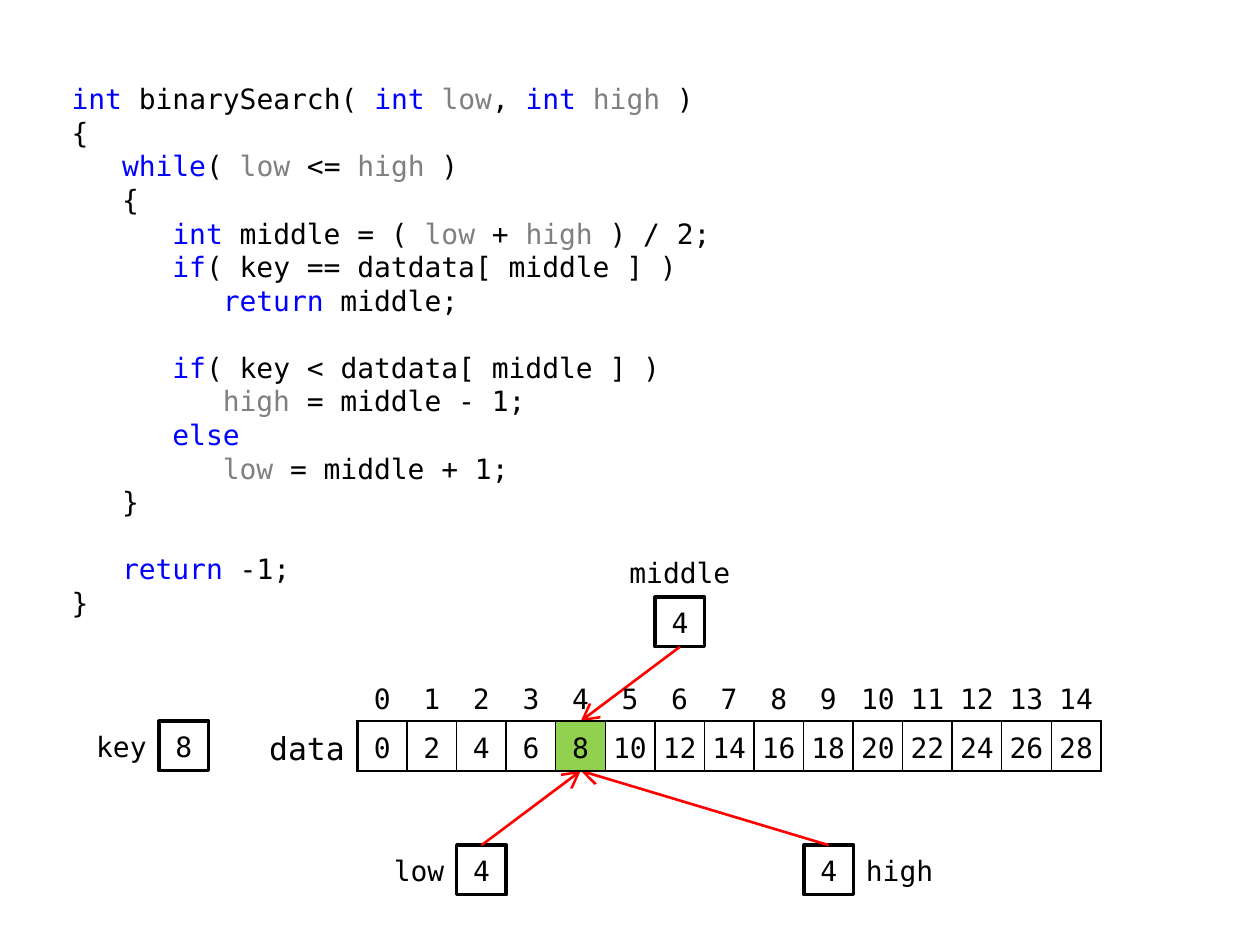
from dataclasses import dataclass
from itertools import groupby

from lxml.etree import SubElement
from pptx import Presentation
from pptx.dml.color import RGBColor
from pptx.enum.shapes import MSO_CONNECTOR, MSO_SHAPE
from pptx.enum.text import MSO_ANCHOR as Anchor, PP_ALIGN as Align
from pptx.oxml.ns import qn
from pptx.util import Inches, Pt

FONT = "DejaVu Sans Mono"
BLACK, BLUE, GRAY = "000000", "0000FF", "808080"
WHITE, RED, GREEN = "FFFFFF", "FF0000", "92D050"
NO_STYLE = "{2D5ABB26-0587-4C30-8999-92F81FD0307C}"

# Everything around the array sits on a grid of one-centimetre cells
CELL = 1 / 2.54
GRID_LEFT, GRID_TOP = 2.05, 5.33
VALUES = range(0, 30, 2)
FOUND = 4

# Code text: indent level in steps of three characters, then the statement
INDENT = 0.4
LINE_HEIGHT = 19.2
WORD_COLORS = dict.fromkeys(("int", "while", "if", "else", "return"), BLUE)
WORD_COLORS |= dict.fromkeys(("low", "high"), GRAY)


@dataclass
class CodeLine:
    level: int
    text: str
    gap_before: bool = False


@dataclass
class Variable:
    """A boxed value and its label, placed in grid cells."""
    name: str
    value: int
    column: float
    row: float
    label_dx: float
    label_dy: float
    label_width: float
    align: Align


CODE = [
    CodeLine(0, "int binarySearch( int low, int high )"),
    CodeLine(0, "{"),
    CodeLine(1, "while( low <= high )"),
    CodeLine(1, "{"),
    CodeLine(2, "int middle = ( low + high ) / 2;"),
    CodeLine(2, "if( key == datdata[ middle ] )"),
    CodeLine(3, "return middle;"),
    CodeLine(2, "if( key < datdata[ middle ] )", gap_before=True),
    CodeLine(3, "high = middle - 1;"),
    CodeLine(2, "else"),
    CodeLine(3, "low = middle + 1;"),
    CodeLine(1, "}"),
    CodeLine(1, "return -1;", gap_before=True),
    CodeLine(0, "}"),
]
MIDDLE = Variable("middle", 4, 8, -1.5, -1, -1, 3, Align.CENTER)
LOW = Variable("low", 4, 4, 3.5, -1.5, 0, 1.5, Align.RIGHT)
HIGH = Variable("high", 4, 11, 3.5, 1, 0, 2, Align.LEFT)
KEY = Variable("key", 8, -2, 1, -1.5, 0, 1.5, Align.RIGHT)


def color(value: str) -> RGBColor:
    return RGBColor.from_string(value)


def grid_x(column: float) -> int:
    return Inches(GRID_LEFT + column * CELL)


def grid_y(row: float) -> int:
    return Inches(GRID_TOP + row * CELL)


def add_run(paragraph, text: str, size: float = 16, text_color: str = BLACK) -> None:
    run = paragraph.add_run()
    run.text = text
    run.font.name = FONT
    run.font.size = Pt(size)
    run.font.color.rgb = color(text_color)


def add_code(slide) -> None:
    shape = slide.shapes.add_textbox(Inches(0.47), Inches(0.6), Inches(5.32), Inches(4.33))
    frame = shape.text_frame
    frame.word_wrap = True
    for number, line in enumerate(CODE):
        paragraph = frame.add_paragraph() if number else frame.paragraphs[0]
        paragraph.line_spacing = Pt(LINE_HEIGHT)
        paragraph.space_before = Pt(LINE_HEIGHT if line.gap_before else 0)
        properties = paragraph._p.get_or_add_pPr()
        properties.set("marL", str(Inches(INDENT * line.level)))
        properties.set("indent", "0")
        # Split into words and symbols, then join neighbours of one colour
        words = ["".join(letters) for _, letters in groupby(line.text, str.isalpha)]
        for word_color, group in groupby(words, lambda word: WORD_COLORS.get(word, BLACK)):
            add_run(paragraph, "".join(group), text_color=word_color)


def add_variable(slide, variable: Variable) -> None:
    box = slide.shapes.add_shape(
        MSO_SHAPE.RECTANGLE, grid_x(variable.column), grid_y(variable.row),
        Inches(CELL), Inches(CELL))
    box.shadow.inherit = False
    box.fill.solid()
    box.fill.fore_color.rgb = color(WHITE)
    box.line.color.rgb = color(BLACK)
    box.line.width = Pt(2)
    frame = box.text_frame
    frame.margin_left = frame.margin_right = frame.margin_bottom = Inches(0.04)
    frame.vertical_anchor = Anchor.MIDDLE
    frame.paragraphs[0].alignment = Align.CENTER
    add_run(frame.paragraphs[0], str(variable.value))

    # The label keeps a margin only on the side it is aligned to
    label = slide.shapes.add_textbox(
        grid_x(variable.column + variable.label_dx), grid_y(variable.row + variable.label_dy),
        Inches(variable.label_width * CELL), Inches(CELL))
    frame = label.text_frame
    frame.word_wrap = True
    frame.margin_left = Inches(0.1 if variable.align == Align.LEFT else 0)
    frame.margin_right = Inches(0.1 if variable.align == Align.RIGHT else 0)
    frame.vertical_anchor = Anchor.MIDDLE
    frame.paragraphs[0].alignment = variable.align
    add_run(frame.paragraphs[0], variable.name)


def add_arrow(slide, variable: Variable) -> None:
    """Point from a variable's box to the found cell."""
    above = variable.row < 0
    arrow = slide.shapes.add_connector(
        MSO_CONNECTOR.STRAIGHT,
        grid_x(variable.column + 0.5), grid_y(variable.row + (1 if above else 0)),
        grid_x(FOUND + 2.5), grid_y(1 if above else 2))
    arrow.line.color.rgb = color(RED)
    arrow.line.width = Pt(1.5)
    SubElement(arrow.line._get_or_add_ln(), qn("a:tailEnd"), type="arrow", w="lg", len="lg")
    SubElement(arrow._element.spPr, qn("a:effectLst"))


def set_borders(cell, **widths: float) -> None:
    properties = cell._tc.get_or_add_tcPr()
    for side in "LRTB":
        if side in widths:
            line = SubElement(properties, qn(f"a:ln{side}"), w=str(Pt(widths[side])))
            fill = SubElement(line, qn("a:solidFill"))
            SubElement(fill, qn("a:srgbClr"), val=BLACK)


def fill_cell(cell, text: str, fill: str = "", size: float = 16,
              align: Align = Align.CENTER, margin_right: float = 0) -> None:
    cell.margin_left = cell.margin_top = cell.margin_bottom = 0
    cell.margin_right = Inches(margin_right)
    cell.vertical_anchor = Anchor.MIDDLE
    if fill:
        cell.fill.solid()
        cell.fill.fore_color.rgb = color(fill)
    else:
        cell.fill.background()
    paragraph = cell.text_frame.paragraphs[0]
    paragraph.alignment = align
    paragraph.line_spacing = 1.2
    paragraph.space_before = Pt(2)
    if text:
        add_run(paragraph, text, size)


def add_array(slide) -> None:
    count = len(VALUES)
    table = slide.shapes.add_table(
        2, count + 1, grid_x(0), grid_y(0),
        Inches((count + 2) * CELL), Inches(2 * CELL)).table
    table.first_row = table.horz_banding = False
    table._tbl.tblPr.find(qn("a:tableStyleId")).text = NO_STYLE
    for number, column in enumerate(table.columns):
        column.width = Inches(CELL if number else 2 * CELL)
    for row in table.rows:
        row.height = Inches(CELL)

    # Name column, then one column for each index and value
    fill_cell(table.cell(0, 0), "")
    set_borders(table.cell(1, 0), R=1.5)
    fill_cell(table.cell(1, 0), "data", size=18, align=Align.RIGHT, margin_right=0.1)
    for index, value in enumerate(VALUES):
        index_cell, value_cell = (table.cell(row, index + 1) for row in range(2))
        set_borders(index_cell, B=1.5)
        fill_cell(index_cell, str(index))
        set_borders(value_cell, L=1 if index else 1.5, T=1.5, B=1.5,
                    R=1 if index < count - 1 else 1.5)
        fill_cell(value_cell, str(value), GREEN if index == FOUND else "")


def main() -> None:
    presentation = Presentation()
    presentation.slide_width, presentation.slide_height = Inches(10), Inches(7.5)
    slide = presentation.slides.add_slide(presentation.slide_layouts[6])
    add_code(slide)
    for variable in (MIDDLE, LOW, HIGH):
        add_variable(slide, variable)
        add_arrow(slide, variable)
    add_array(slide)
    add_variable(slide, KEY)
    presentation.save("out.pptx")


if __name__ == "__main__":
    main()
